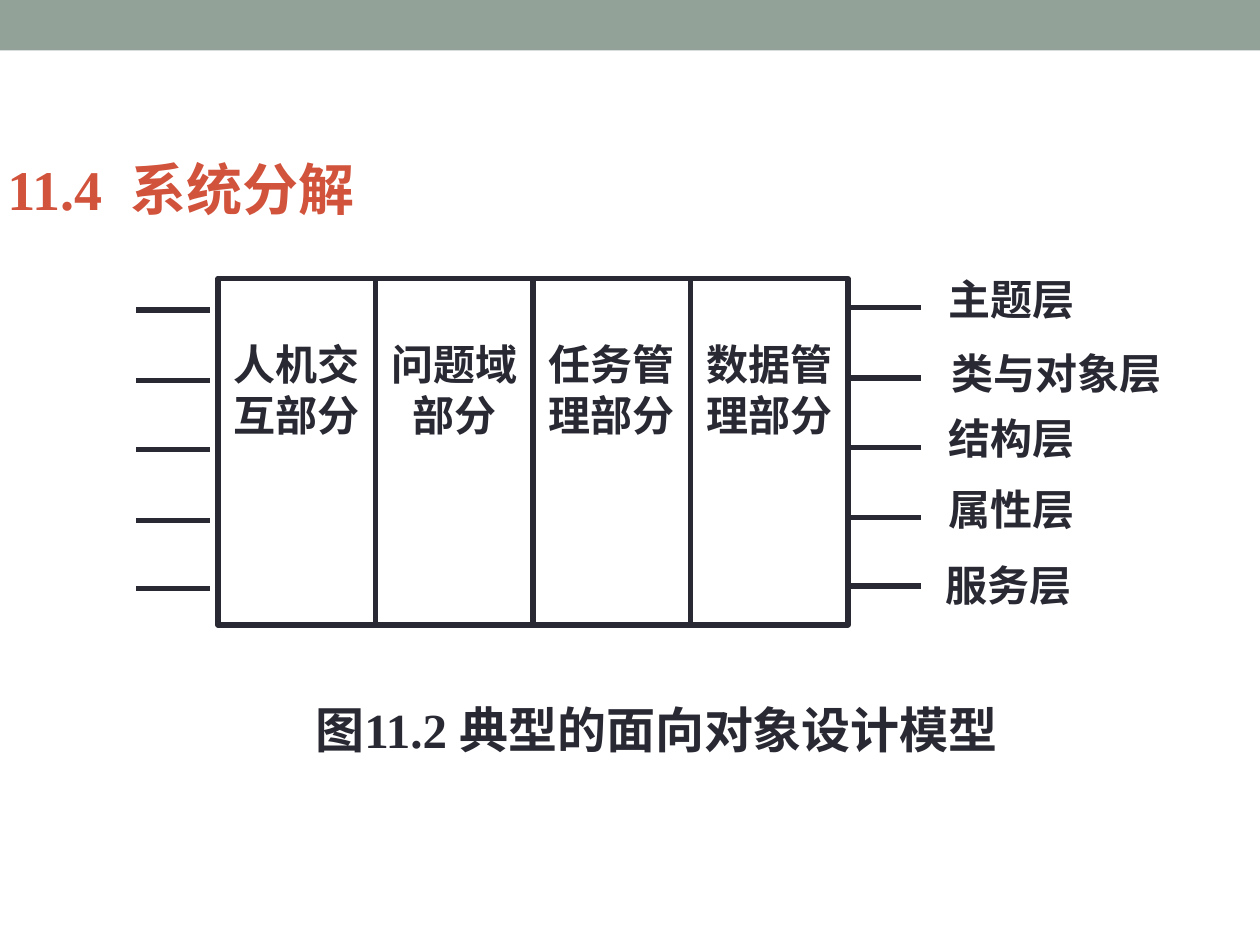
import pptx
import pptx.util
import pptx.dml.color
import pptx.enum.shapes
import pptx.enum.text
import pptx.oxml.ns
import lxml.etree
from pptx.util import Inches

RGBColor = pptx.dml.color.RGBColor
SAGE = RGBColor(0x93, 0xA2, 0x99)
RED = RGBColor(0xD2, 0x53, 0x3C)
INK = RGBColor(0x29, 0x29, 0x34)

ALIGN = pptx.enum.text.PP_ALIGN
ANCHOR = pptx.enum.text.MSO_ANCHOR


class Deck:
    font = "Times New Roman"
    line_width = pptx.util.Pt(3)

    def __init__(self):
        self.prs = pptx.Presentation()
        self.prs.slide_width = Inches(10)
        self.prs.slide_height = Inches(7.5)
        self.s = self.prs.slides.add_slide(self.prs.slide_layouts[6])

    def set_text(self, sp, text, size, color, align, anchor=ANCHOR.TOP, insets=(0, 0)):
        """Fill a shape with one bold paragraph; insets are side and top."""
        side, top = insets
        tf = sp.text_frame
        tf.word_wrap = True
        tf.vertical_anchor = anchor
        tf.margin_left = tf.margin_right = Inches(side)
        tf.margin_top = Inches(top)
        tf.margin_bottom = 0
        p = tf.paragraphs[0]
        p.text = text
        p.alignment = align
        p.font.name = self.font
        p.font.size = pptx.util.Pt(size)
        p.font.bold = True
        p.font.color.rgb = color

    def text(self, box, text, size=24, color=INK, align=ALIGN.CENTER, **style):
        sp = self.s.shapes.add_textbox(*map(Inches, box))
        self.set_text(sp, text, size, color, align, **style)

    def rect(self, box, fill=None, line=None):
        sp = self.s.shapes.add_shape(
            pptx.enum.shapes.MSO_SHAPE.RECTANGLE, *map(Inches, box))
        sp.shadow.inherit = False
        if fill is None:
            sp.fill.background()
        else:
            sp.fill.solid()
            sp.fill.fore_color.rgb = fill
        if line is None:
            sp.line.fill.background()
        else:
            sp.line.color.rgb = line
            sp.line.width = self.line_width
        return sp

    def column(self, box, text):
        sp = self.rect(box, line=INK)
        self.set_text(sp, text, 24, INK, ALIGN.CENTER, insets=(0, 0.48))

    def line(self, x1, x2, y):
        c = self.s.shapes.add_connector(
            pptx.enum.shapes.MSO_CONNECTOR.STRAIGHT,
            Inches(x1), Inches(y), Inches(x2), Inches(y))
        c.line.color.rgb = INK
        c.line.width = self.line_width
        lxml.etree.SubElement(c._element.spPr, pptx.oxml.ns.qn("a:effectLst"))


def main():
    deck = Deck()

    # Top band and title
    deck.rect((0, 0, 10, 0.4), fill=SAGE)
    deck.text((-0.04, 1.05, 5, 0.89), "11.4  系统分解", 32, RED, ALIGN.LEFT,
              anchor=ANCHOR.MIDDLE, insets=(0.1, 0))

    # Layer lines on both sides
    for y in (2.46, 3.02, 3.57, 4.13, 4.67):
        deck.line(1.08, 1.67, y)
        deck.line(6.72, 7.31, y - 0.02)

    # Four parts of the model
    parts = ("人机交互部分", "问题域部分", "任务管理部分", "数据管理部分")
    for i, part in enumerate(parts):
        deck.column((1.73 + 1.25 * i, 2.21, 1.25, 2.75), part)

    # Layer names
    layers = (("主题层", 7.14, 2.17), ("结构层", 7.14, 3.27),
              ("属性层", 7.14, 3.84), ("服务层", 7.12, 4.44))
    for name, x, y in layers:
        deck.text((x, y, 1.77, 0.45), name)
    deck.text((7.55, 2.76, 1.94, 0.45), "类与对象层", align=ALIGN.LEFT)

    # Caption
    deck.text((2.17, 5.55, 6.08, 0.45), "图11.2 典型的面向对象设计模型", 28)

    deck.prs.save("out.pptx")


if __name__ == "__main__":
    main()
